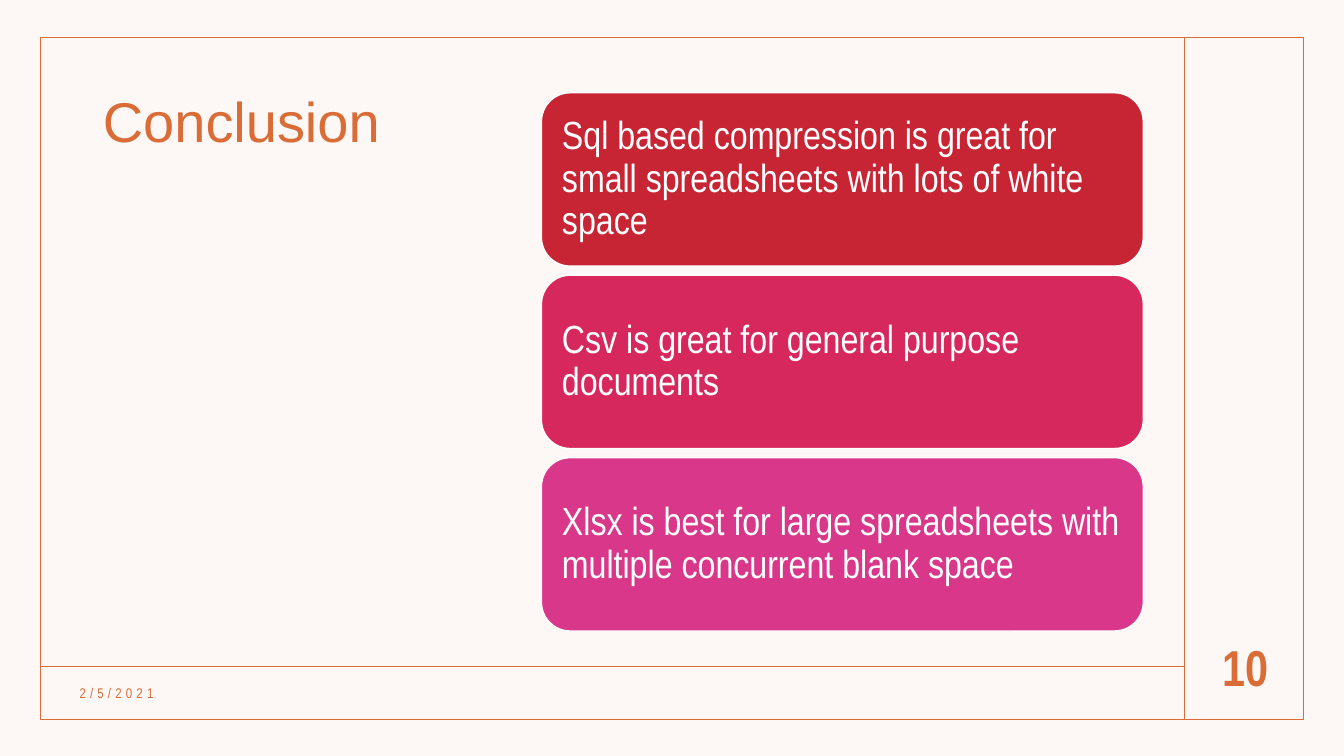
from pptx import Presentation
from pptx.dml.color import RGBColor
from pptx.enum.shapes import MSO_CONNECTOR as CONN, MSO_SHAPE as SHAPE
from pptx.enum.text import MSO_ANCHOR as ANCHOR, MSO_AUTO_SIZE as FIT, PP_ALIGN as ALIGN
from pptx.oxml.ns import qn
from pptx.util import Inches, Pt
from lxml import etree

COLORS = {
    "paper": "FDF8F5",
    "accent": "D96C37",
    "white": "FFFFFF",
    "red": "C72533",
    "rose": "D6285C",
    "pink": "D93789",
}
HEAD, BODY = "Arial", "Arial Narrow"

CARDS = [
    ("red", "Sql based compression is great for small spreadsheets with lots of white space"),
    ("rose", "Csv is great for general purpose documents"),
    ("pink", "Xlsx is best for large spreadsheets with multiple concurrent blank space"),
]


def rgb(name):
    return RGBColor.from_string(COLORS[name])


def write(sp, text, size, font=BODY, color="accent", bold=False, align=ALIGN.LEFT,
          anchor=ANCHOR.MIDDLE, inset=(0.1, 0.05), line_spacing=1.0, tracking=0):
    """Fill a shape with one formatted paragraph; inset is (horizontal, vertical) in inches."""
    tf = sp.text_frame
    tf.word_wrap = True
    tf.auto_size = FIT.NONE
    tf.vertical_anchor = anchor
    tf.margin_left = tf.margin_right = Inches(inset[0])
    tf.margin_top = tf.margin_bottom = Inches(inset[1])
    p = tf.paragraphs[0]
    p.alignment = align
    p.line_spacing = line_spacing
    r = p.add_run()
    r.text = text
    r.font.name = font
    r.font.size = Pt(size)
    r.font.bold = bold
    r.font.color.rgb = rgb(color)
    if tracking:
        r.font._element.set("spc", str(tracking * 100))


class SlideBuilder:
    def __init__(self, prs):
        self.slide = prs.slides.add_slide(prs.slide_layouts[5])
        self.shapes = self.slide.shapes
        fill = self.slide.background.fill
        fill.solid()
        fill.fore_color.rgb = rgb("paper")

    def title(self, text, x, y, w, h):
        sp = self.shapes.title
        sp.left, sp.top, sp.width, sp.height = map(Inches, (x, y, w, h))
        write(sp, text, 40, font=HEAD, anchor=ANCHOR.TOP, line_spacing=0.9)

    def box(self, kind, x, y, w, h, line, fill=None):
        sp = self.shapes.add_shape(kind, *map(Inches, (x, y, w, h)))
        sp.shadow.inherit = False
        if fill:
            sp.fill.solid()
            sp.fill.fore_color.rgb = rgb(fill)
        else:
            sp.fill.background()
        sp.line.color.rgb = rgb(line)
        sp.line.width = Pt(1)
        return sp

    def rule(self, x1, y1, x2, y2):
        line = self.shapes.add_connector(CONN.STRAIGHT, *map(Inches, (x1, y1, x2, y2)))
        line.line.color.rgb = rgb("accent")
        line.line.width = Pt(1)
        etree.SubElement(line._element.spPr, qn("a:effectLst"))

    def label(self, text, x, y, w, h, size, **style):
        write(self.shapes.add_textbox(*map(Inches, (x, y, w, h))), text, size, **style)

    def card(self, text, x, y, w, h, fill):
        sp = self.box(SHAPE.ROUNDED_RECTANGLE, x, y, w, h, "white", fill)
        write(sp, text, 28, color="white", inset=(0.12, 0.12), line_spacing=0.9)


def main():
    prs = Presentation()
    prs.slide_width, prs.slide_height = Inches(13.33), Inches(7.5)
    s = SlideBuilder(prs)

    s.box(SHAPE.RECTANGLE, 0.4, 0.37, 12.53, 6.77, "accent")
    s.title("Conclusion", 0.92, 0.88, 4.45, 5.33)
    s.rule(11.75, 0.37, 11.75, 7.13)
    s.rule(0.41, 6.61, 11.75, 6.61)
    s.label("2/5/2021", 0.69, 6.72, 3.45, 0.31, 10, tracking=3)
    s.label("10", 11.83, 6.2, 1.04, 0.83, 36, bold=True, align=ALIGN.CENTER)

    top, pitch = 0.92, 1.81
    for i, (fill, text) in enumerate(CARDS):
        s.card(text, 5.37, top + i * pitch, 5.97, 1.72, fill)

    prs.save("out.pptx")


if __name__ == "__main__":
    main()
